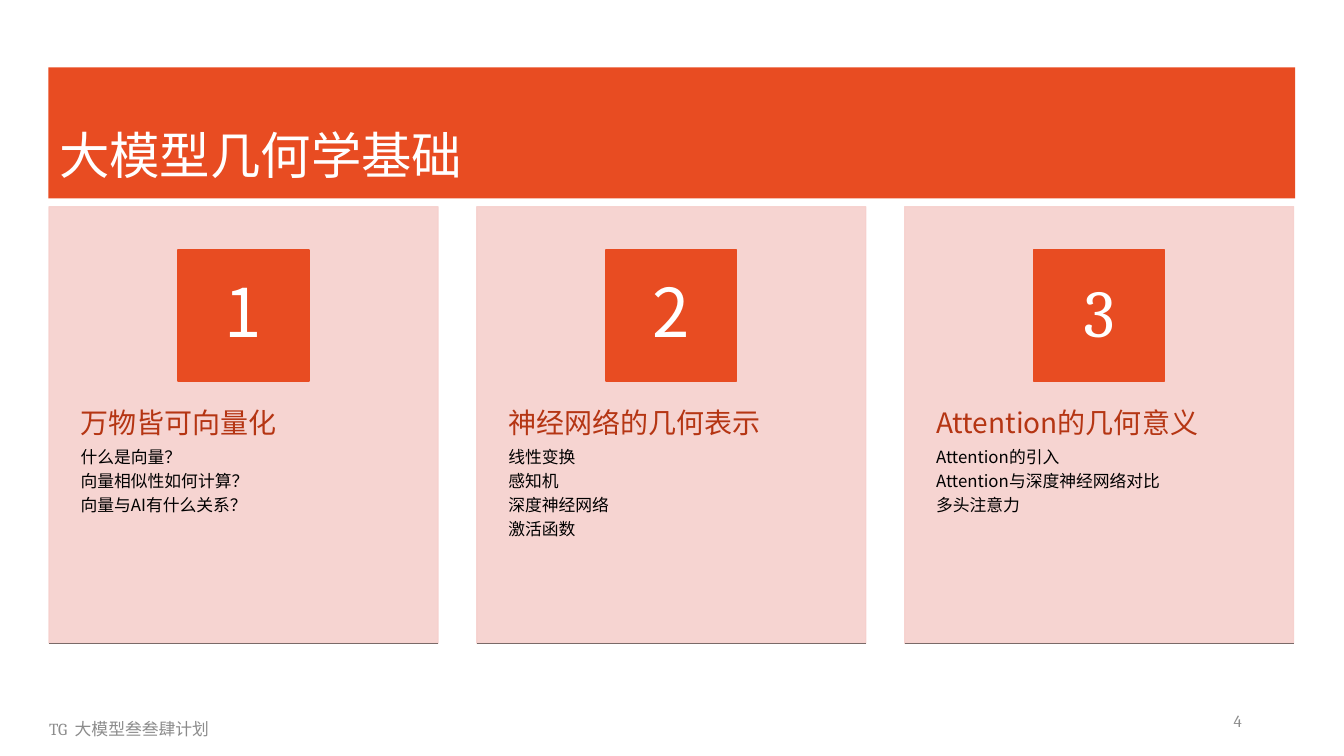
import pptx
import pptx.dml.color
import pptx.enum.shapes
import pptx.enum.text
import pptx.oxml
import pptx.oxml.ns
import pptx.util
from lxml import etree

Cm = pptx.util.Cm
Pt = pptx.util.Pt
ALIGN = pptx.enum.text.PP_ALIGN
ANCHOR = pptx.enum.text.MSO_ANCHOR
RECTANGLE = pptx.enum.shapes.MSO_SHAPE.RECTANGLE
STRAIGHT = pptx.enum.shapes.MSO_CONNECTOR.STRAIGHT
qn = pptx.oxml.ns.qn

COLORS = {
    "accent": "E84C22",
    "card": "F6D0CD",
    "heading": "B53513",
    "text": "000000",
    "white": "FFFFFF",
    "muted": "8C8C8C",
    "rule": "7A6A68",
}
SANS = "Noto Sans CJK SC"
SERIF = "Cambria"

TITLE = "大模型几何学基础"
FOOTER = "TG  大模型叁叁肆计划"
CARDS = [
    ("1", SANS, "万物皆可向量化",
     ["什么是向量？", "向量相似性如何计算？", "向量与AI有什么关系？"]),
    ("2", SANS, "神经网络的几何表示",
     ["线性变换", "感知机", "深度神经网络", "激活函数"]),
    ("3", SERIF, "Attention的几何意义",
     ["Attention的引入", "Attention与深度神经网络对比", "多头注意力"]),
]


def color(name):
    return pptx.dml.color.RGBColor.from_string(COLORS[name])


def add_run(paragraph, text, size, font_name, color_name):
    run = paragraph.add_run()
    run.text = text
    run.font.size = Pt(size)
    run.font.name = font_name
    run.font.bold = False
    run.font.color.rgb = color(color_name)
    latin = run.font._element.find(qn("a:latin"))
    east_asian = etree.Element(qn("a:ea"), typeface=SANS)
    latin.addnext(east_asian)


def set_frame(frame, anchor, insets=(0.25, 0.13, 0.25, 0.13)):
    frame.word_wrap = True
    frame.auto_size = pptx.enum.text.MSO_AUTO_SIZE.NONE
    frame.vertical_anchor = anchor
    (frame.margin_left, frame.margin_top,
     frame.margin_right, frame.margin_bottom) = map(Cm, insets)


def set_spacing(paragraph):
    """Tight lines, no bullet, and a gap of 35 % of a line below."""
    properties = paragraph._p.get_or_add_pPr()
    properties.set("marL", "0")
    properties.set("indent", "0")
    etree.SubElement(properties, qn("a:buNone"))
    paragraph.line_spacing = 0.9
    paragraph.space_before = Pt(0)
    paragraph.space_after = Pt(0)
    after = properties.find(qn("a:spcAft"))
    after.remove(after[0])
    etree.SubElement(after, qn("a:spcPct"), val="35000")


def add_block(slide, left, top, width, height, color_name):
    shape = slide.shapes.add_shape(
        RECTANGLE, Cm(left), Cm(top), Cm(width), Cm(height))
    shape.shadow.inherit = False
    shape.fill.solid()
    shape.fill.fore_color.rgb = color(color_name)
    shape.line.color.rgb = color(color_name)
    shape.line.width = Pt(1)
    return shape


def place_in_front(slide, placeholder, left, top, width, height):
    placeholder.left, placeholder.top = Cm(left), Cm(top)
    placeholder.width, placeholder.height = Cm(width), Cm(height)
    slide.shapes._spTree.append(placeholder._element)


def add_banner(slide, left, top, width, height):
    banner = add_block(slide, left, top, width, height, "accent")
    banner.line.fill.background()
    title = slide.shapes.title
    place_in_front(slide, title, left + 0.02, top + 0.26, width - 0.08, height - 0.48)
    set_frame(title.text_frame, ANCHOR.BOTTOM)
    paragraph = title.text_frame.paragraphs[0]
    paragraph.alignment = ALIGN.LEFT
    add_run(paragraph, TITLE, 36, SANS, "white")


def add_card(slide, placeholder, left, top, width, height, content):
    number, number_font, heading, topics = content

    # Panel
    panel = add_block(slide, left, top, width, height, "card")
    for solid in panel._element.spPr.iter(qn("a:solidFill")):
        etree.SubElement(solid[0], qn("a:alpha"), val="90000")

    # Heading and topics
    place_in_front(slide, placeholder, left, top + 4.19, width, 6.6)
    frame = placeholder.text_frame
    set_frame(frame, ANCHOR.TOP, (0.79, 0.91, 0.76, 0.91))
    for index, text in enumerate([heading] + topics):
        paragraph = frame.add_paragraph() if index else frame.paragraphs[0]
        set_spacing(paragraph)
        paragraph.alignment = ALIGN.LEFT
        size, color_name = (12, "text") if index else (20, "heading")
        add_run(paragraph, text, size, SANS, color_name)

    # Number square
    side = 3.3
    square = add_block(slide, left + (width - side) / 2, top + 1.09,
                       side, side, "accent")
    set_frame(square.text_frame, ANCHOR.MIDDLE, (0.25, 0.03, 0.25, 0.03))
    paragraph = square.text_frame.paragraphs[0]
    set_spacing(paragraph)
    paragraph.alignment = ALIGN.CENTER
    add_run(paragraph, number, 48, number_font, "white")

    # Bottom rule
    bottom = Cm(top + height)
    rule = slide.shapes.add_connector(
        STRAIGHT, Cm(left), bottom, Cm(left + width), bottom)
    rule.line.color.rgb = color("rule")
    rule.line.width = Pt(0.5)
    etree.SubElement(rule._element.spPr, qn("a:effectLst"))


def add_note_line(slide, left, top, width, height, text, alignment):
    box = slide.shapes.add_textbox(Cm(left), Cm(top), Cm(width), Cm(height))
    set_frame(box.text_frame, ANCHOR.MIDDLE)
    paragraph = box.text_frame.paragraphs[0]
    paragraph.alignment = alignment
    add_run(paragraph, text, 12, SERIF, "muted")
    return paragraph


def main():
    presentation = pptx.Presentation()
    presentation.slide_width = Cm(33.87)
    presentation.slide_height = Cm(19.05)
    comparison_layout = presentation.slide_layouts[4]
    slide = presentation.slides.add_slide(comparison_layout)
    bodies = list(slide.placeholders)[1:]

    add_banner(slide, 1.22, 1.7, 31.42, 3.3)

    # Three equal columns
    for column, content in enumerate(CARDS):
        add_card(slide, bodies[column], 1.24 + column * 10.78, 5.21, 9.8, 11, content)
    for unused in bodies[len(CARDS):]:
        slide.shapes._spTree.remove(unused._element)

    # Slide number and footer
    number = add_note_line(slide, 23.93, 17.65, 7.62, 1.02, "4", ALIGN.RIGHT)
    number.space_after = Pt(6)
    add_note_line(slide, 0.99, 17.86, 18.95, 1.02, FOOTER, ALIGN.LEFT)

    presentation.save("out.pptx")


if __name__ == "__main__":
    main()
